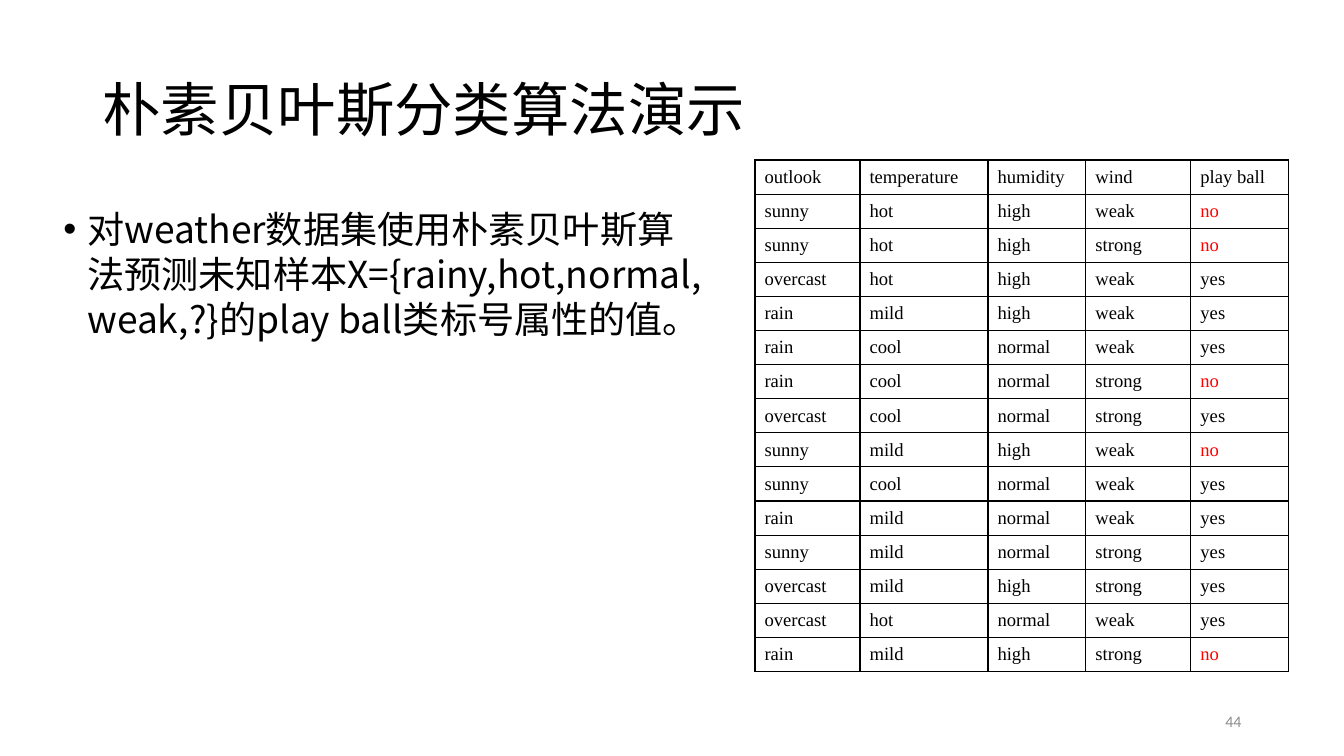
from lxml import etree
from pptx import Presentation
from pptx.dml.color import RGBColor
from pptx.enum.text import MSO_ANCHOR, PP_ALIGN
from pptx.oxml.ns import qn
from pptx.util import Pt

PX = 914400 / 95.6
MIDDLE = MSO_ANCHOR.MIDDLE
TOP = MSO_ANCHOR.TOP
LEFT = PP_ALIGN.LEFT
RIGHT = PP_ALIGN.RIGHT
SANS = "Calibri"
HAN = "Noto Sans CJK SC"
SERIF = "Times New Roman"
COLORS = {"ink": "000000", "no": "FF0000", "page": "8C8C8C"}


def px(count):
    return round(count * PX)


def style(para, size, font, color, hang=0):
    """Format the runs of a paragraph and give it a hanging indent in px."""
    if hang:
        props = para._p.get_or_add_pPr()
        props.set("marL", str(px(hang)))
        props.set("indent", str(-px(hang)))
    for run in para.runs:
        run.font.size = Pt(size)
        run.font.name = font
        run.font.color.rgb = RGBColor.from_string(COLORS[color])
        etree.SubElement(run._r.get_or_add_rPr(), qn("a:ea"), typeface=HAN)


deck = Presentation()
deck.slide_width, deck.slide_height = px(1344), px(756)
slide = deck.slides.add_slide(deck.slide_layouts[6])

# Title, task and page number
texts = [
    ("朴素贝叶斯分类算法演示", (93, 40, 1160, 146), MIDDLE, LEFT, 0.9, 44, SANS, "ink", 0),
    ("对weather数据集使用朴素贝叶斯算法预测未知样本X={rainy,hot,normal, weak,?}的"
     "play ball类标号属性的值。",
     (54, 202, 663, 480), TOP, LEFT, 1.0, 28, HAN, "ink", 24),
    ("44", (949, 701, 302, 40), MIDDLE, RIGHT, 1.0, 12, SANS, "page", 0),
]
for text, place, anchor, align, lead, size, font, color, hang in texts:
    box = slide.shapes.add_textbox(*map(px, place))
    frame = box.text_frame
    frame.word_wrap = True
    frame.vertical_anchor = anchor
    frame.text = text
    para = frame.paragraphs[0]
    para.alignment = align
    para.line_spacing = lead
    if hang:
        props = para._p.get_or_add_pPr()
        etree.SubElement(props, qn("a:buFont"), typeface="Arial")
        etree.SubElement(props, qn("a:buChar"), char="•")
    style(para, size, font, color, hang)

# Weather data
days = """outlook,temperature,humidity,wind,play ball
sunny,hot,high,weak,no
sunny,hot,high,strong,no
overcast,hot,high,weak,yes
rain,mild,high,weak,yes
rain,cool,normal,weak,yes
rain,cool,normal,strong,no
overcast,cool,normal,strong,yes
sunny,mild,high,weak,no
sunny,cool,normal,weak,yes
rain,mild,normal,weak,yes
sunny,mild,normal,strong,yes
overcast,mild,high,strong,yes
overcast,hot,normal,weak,yes
rain,mild,high,strong,no"""
rows = [line.split(",") for line in days.splitlines()]
widths = [105, 128, 98, 105, 98]
height = 512
table = slide.shapes.add_table(
    len(rows), len(widths), px(755), px(160), px(sum(widths)), px(height)).table
table.first_row = False
table.horz_banding = False
for column, width in zip(table.columns, widths):
    column.width = px(width)
for r, row in enumerate(rows):
    table.rows[r].height = px(height / len(rows))
    for c, word in enumerate(row):
        cell = table.cell(r, c)
        cell.text_frame.text = word
        cell.vertical_anchor = MIDDLE
        style(cell.text_frame.paragraphs[0], 14, SERIF,
              "no" if word == "no" else "ink", 31)
        props = cell._tc.get_or_add_tcPr()
        for side in ("lnL", "lnR", "lnT", "lnB"):
            line = etree.SubElement(props, qn("a:" + side), w=str(Pt(1)))
            fill = etree.SubElement(line, qn("a:solidFill"))
            etree.SubElement(fill, qn("a:srgbClr"), val=COLORS["ink"])
        cell.fill.background()

deck.save("out.pptx")
